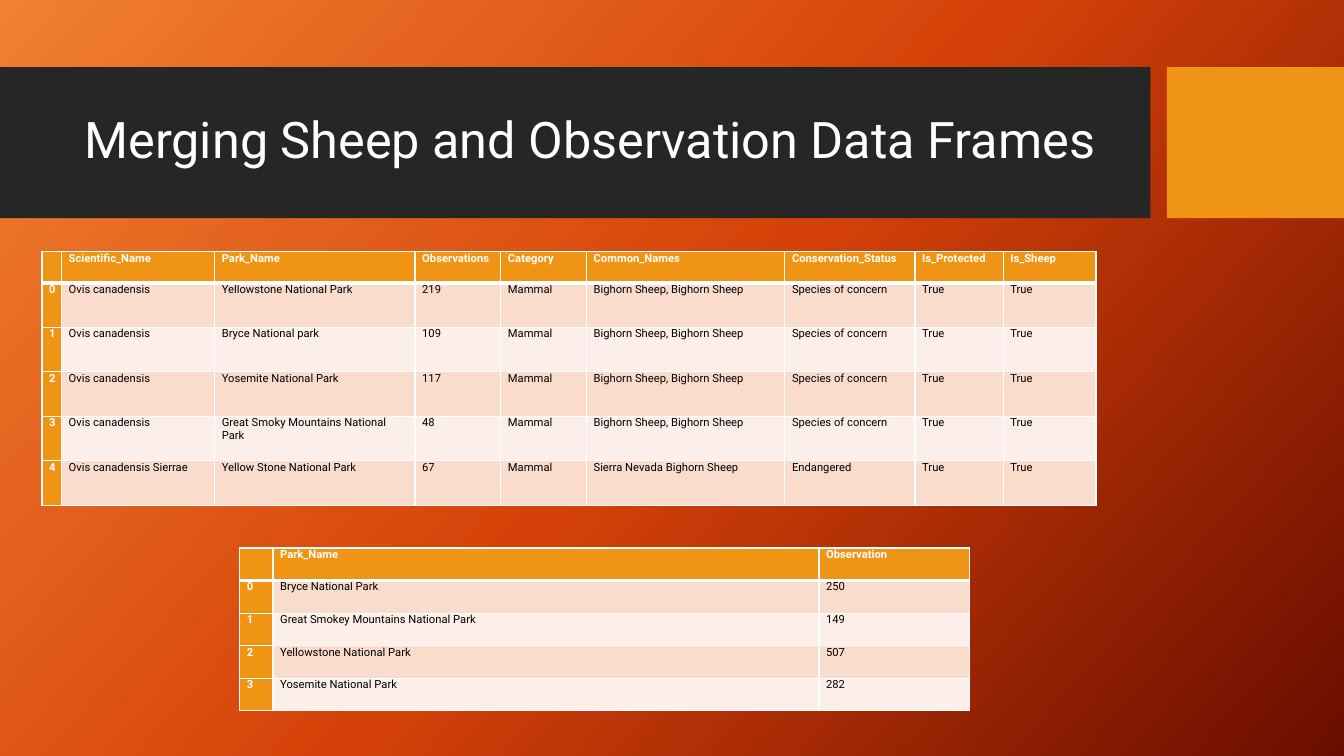
import copy

import pptx
import pptx.dml.color
import pptx.enum.shapes
import pptx.enum.text
import pptx.oxml
import pptx.oxml.ns
import pptx.util
from pptx.dml.color import RGBColor
from pptx.util import Cm

# Content
TITLE = "Merging Sheep and Observation Data Frames"

SHEEP_HEAD = ["Scientific_Name", "Park_Name", "Observations", "Category",
              "Common_Names", "Conservation_Status", "Is_Protected", "Is_Sheep"]
OVIS = "Ovis canadensis"
BIGHORN = "Bighorn Sheep, Bighorn Sheep"
CONCERN = "Species of concern"
SHEEP_ROWS = [
    [OVIS, "Yellowstone National Park", "219", "Mammal", BIGHORN, CONCERN, "True", "True"],
    [OVIS, "Bryce National park", "109", "Mammal", BIGHORN, CONCERN, "True", "True"],
    [OVIS, "Yosemite National Park", "117", "Mammal", BIGHORN, CONCERN, "True", "True"],
    [OVIS, "Great Smoky Mountains National Park", "48", "Mammal", BIGHORN, CONCERN,
     "True", "True"],
    ["Ovis canadensis Sierrae", "Yellow Stone National Park", "67", "Mammal",
     "Sierra Nevada Bighorn Sheep", "Endangered", "True", "True"],
]

PARK_HEAD = ["Park_Name", "Observation"]
PARK_ROWS = [
    ["Bryce National Park", "250"],
    ["Great Smokey Mountains National Park", "149"],
    ["Yellowstone National Park", "507"],
    ["Yosemite National Park", "282"],
]

# Layout in cm
BAR_TOP, BAR_HEIGHT = 1.69, 3.81
SHEEP_COLS = [0.49, 3.86, 5.05, 2.16, 2.16, 5.0, 3.28, 2.22, 2.34]
PARK_COLS = [0.84, 13.76, 3.8]

# Look
FONT = "Roboto"
WHITE = RGBColor(0xFF, 0xFF, 0xFF)
BLACK = RGBColor(0x00, 0x00, 0x00)
CHARCOAL = RGBColor(0x26, 0x26, 0x26)
ORANGE = RGBColor(0xF0, 0x94, 0x15)
BANDS = [RGBColor(0xF9, 0xDC, 0xCC), RGBColor(0xFC, 0xEE, 0xE8)]
BACKDROP = [(0, RGBColor(0xF1, 0x80, 0x31)), (0.5, RGBColor(0xD5, 0x42, 0x09)),
            (1, RGBColor(0x6A, 0x0D, 0x00))]


def add_text(tf, text, size=8, color=BLACK, bold=False, line_spacing=None):
    p = tf.paragraphs[0]
    if line_spacing:
        p.line_spacing = line_spacing
    r = p.add_run()
    r.text = text
    r.font.name = FONT
    r.font.size = pptx.util.Pt(size)
    r.font.bold = bold
    r.font.color.rgb = color


def add_bar(s, left, width, color):
    sp = s.shapes.add_shape(pptx.enum.shapes.MSO_SHAPE.RECTANGLE, Cm(left), Cm(BAR_TOP),
                            Cm(width), Cm(BAR_HEIGHT))
    sp.shadow.inherit = False
    sp.fill.solid()
    sp.fill.fore_color.rgb = color
    sp.line.fill.background()


def set_borders(cell, top, bottom):
    tcPr = cell._tc.get_or_add_tcPr()
    for side, width in (("L", 1), ("R", 1), ("T", top), ("B", bottom)):
        tcPr.append(pptx.oxml.parse_xml(
            f'<a:ln{side} {pptx.oxml.ns.nsdecls("a")} w="{pptx.util.Pt(width)}">'
            f'<a:solidFill><a:srgbClr val="{WHITE}"/></a:solidFill></a:ln{side}>'))


def add_frame_table(s, left, top, cols, head, rows, head_height, row_height):
    """Data frame with an orange header row and a numbered index column."""
    grid = [[""] + head] + [[str(i)] + row for i, row in enumerate(rows)]
    heights = [head_height] + [row_height] * len(rows)
    table = s.shapes.add_table(len(grid), len(cols), Cm(left), Cm(top),
                               Cm(sum(cols)), Cm(sum(heights))).table
    for column, width in zip(table.columns, cols):
        column.width = Cm(width)
    for i, (row, height) in enumerate(zip(grid, heights)):
        table.rows[i].height = Cm(height)
        for j, text in enumerate(row):
            cell = table.cell(i, j)
            cell.margin_left = cell.margin_right = Cm(0.18)
            cell.margin_top = cell.margin_bottom = 0
            label = i == 0 or j == 0
            set_borders(cell, top=3 if i == 1 else 1, bottom=3 if i == 0 else 1)
            cell.fill.solid()
            cell.fill.fore_color.rgb = ORANGE if label else BANDS[(i - 1) % 2]
            if text:
                add_text(cell.text_frame, text, color=WHITE if label else BLACK, bold=label)


def main():
    prs = pptx.Presentation()
    prs.slide_width, prs.slide_height = Cm(33.87), Cm(19.05)
    s = prs.slides.add_slide(prs.slide_layouts[6])

    # Background gradient
    fill = s.background.fill
    fill.gradient()
    fill.gradient_angle = 360 - 42
    stops = s._element.find(".//" + pptx.oxml.ns.qn("a:gsLst"))
    stops.append(copy.deepcopy(stops[-1]))
    for stop, (position, color) in zip(fill.gradient_stops, BACKDROP):
        stop.position = position
        stop.color.rgb = color

    # Title band
    add_bar(s, 0, 28.99, CHARCOAL)
    add_bar(s, 29.41, 4.46, ORANGE)
    tf = s.shapes.add_textbox(Cm(1.88), Cm(2.08), Cm(26.7), Cm(3)).text_frame
    tf.word_wrap = True
    tf.vertical_anchor = pptx.enum.text.MSO_ANCHOR.MIDDLE
    add_text(tf, TITLE, size=36, color=WHITE, line_spacing=0.9)

    # Tables
    add_frame_table(s, 1.06, 6.34, SHEEP_COLS, SHEEP_HEAD, SHEEP_ROWS, 0.79, 1.12)
    add_frame_table(s, 6.04, 13.81, PARK_COLS, PARK_HEAD, PARK_ROWS, 0.82, 0.82)

    prs.save("out.pptx")


if __name__ == "__main__":
    main()
